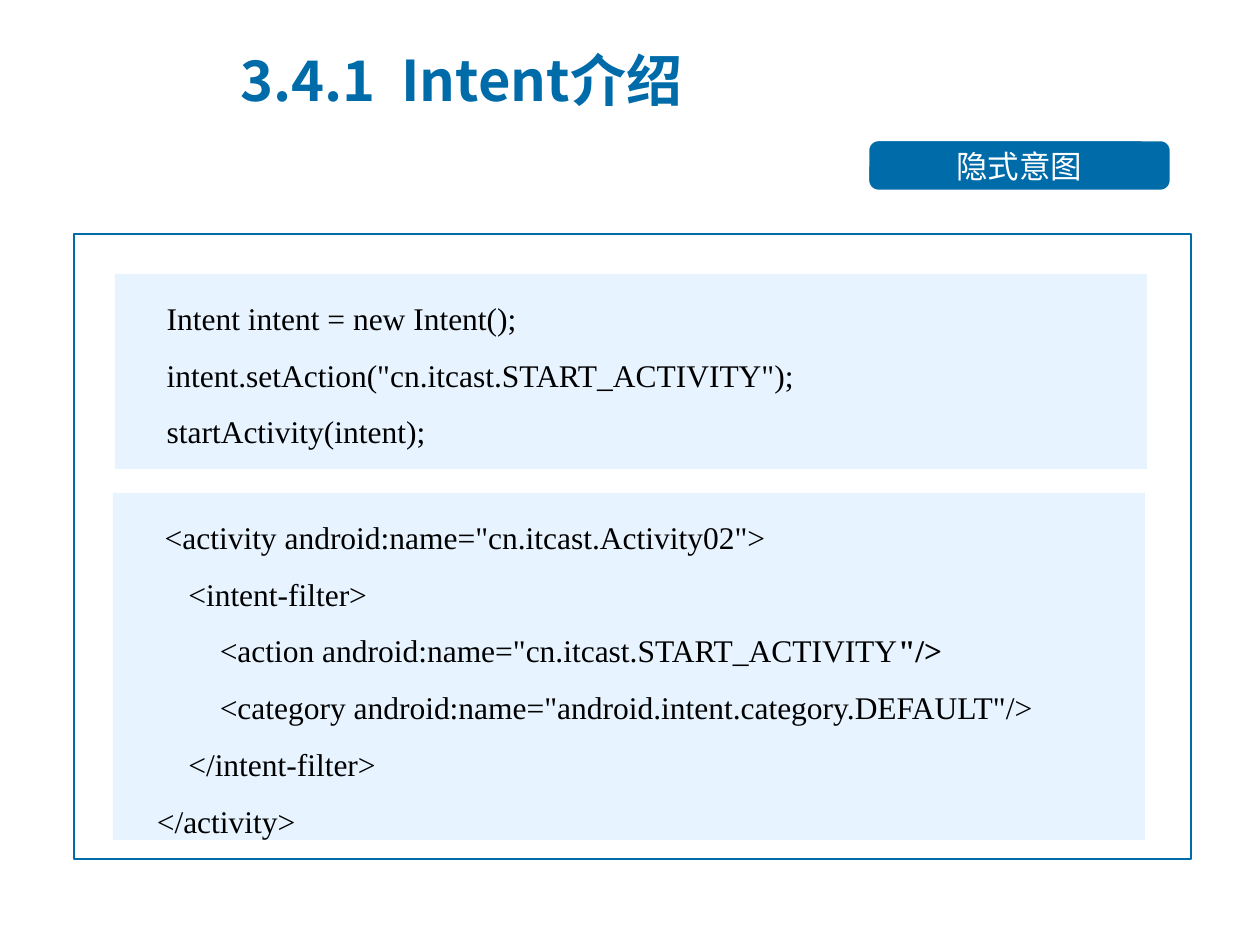
from lxml import etree
from pptx import Presentation
from pptx.dml.color import RGBColor
from pptx.enum.shapes import MSO_SHAPE
from pptx.enum.text import MSO_ANCHOR, PP_ALIGN
from pptx.oxml.ns import qn
from pptx.util import Emu, Pt

RECT, ROUNDED = MSO_SHAPE.RECTANGLE, MSO_SHAPE.ROUNDED_RECTANGLE
TOP, MIDDLE = MSO_ANCHOR.TOP, MSO_ANCHOR.MIDDLE
LEFT, CENTER = PP_ALIGN.LEFT, PP_ALIGN.CENTER

EMU_PER_PX = 914400 / 126
BLUE, PALE, WHITE, BLACK = "006BA9", "E7F4FF", "FFFFFF", "000000"
HEADING_FONT, CODE_FONT = "Noto Sans CJK SC", "Times New Roman"

TITLE = "3.4.1  Intent介绍"
BADGE = "隐式意图"

# Each code line is a list of (text, bold) runs.
MANIFEST_CODE = [
    [('     <activity android:name="cn.itcast.Activity02">', False)],
    [("        <intent-filter>", False)],
    [('            <action android:name="cn.itcast.START_ACTIVITY', False), ('"/>', True)],
    [('            <category android:name="android.intent.category.DEFAULT"/>', False)],
    [("        </intent-filter>", False)],
    [("    </activity>", False)],
]
JAVA_CODE = [
    [("     Intent intent = new Intent();", False)],
    [('     intent.setAction("cn.itcast.START_ACTIVITY");', False)],
    [("     startActivity(intent);", False)],
]
CODE_PANELS = [
    ((113, 493, 1032, 347), MANIFEST_CODE),
    ((115, 274, 1032, 195), JAVA_CODE),
]


def px(length):
    return Emu(round(length * EMU_PER_PX))


def color(value):
    return RGBColor.from_string(value)


def add_box(kind, bounds, fill=None, line=None):
    box = slide.shapes.add_shape(kind, *map(px, bounds))
    box.shadow.inherit = False
    if fill:
        box.fill.solid()
        box.fill.fore_color.rgb = color(fill)
    else:
        box.fill.background()
    if line:
        box.line.color.rgb = color(line)
        box.line.width = Pt(1.5)
    else:
        box.line.fill.background()
    return box


def write(box, lines, font_name, size, text_color, bold=None,
          align=LEFT, anchor=MIDDLE, spacing=None):
    """Fill a box with lines of (text, bold) runs, one paragraph a line."""
    frame = box.text_frame
    frame.word_wrap = True
    frame.vertical_anchor = anchor
    for index, runs in enumerate(lines):
        paragraph = frame.paragraphs[0] if index == 0 else frame.add_paragraph()
        paragraph.alignment = align
        paragraph.line_spacing = spacing
        for text, run_bold in runs:
            run = paragraph.add_run()
            run.text = text
            font = run.font
            font.name, font.size = font_name, Pt(size)
            font.bold = run_bold if bold is None else bold
            font.color.rgb = color(text_color)
            east_asian = etree.Element(qn("a:ea"), typeface=font_name)
            font._element.find(qn("a:latin")).addnext(east_asian)


prs = Presentation()
prs.slide_width, prs.slide_height = px(1260), px(945)
slide = prs.slides.add_slide(prs.slide_layouts[6])

add_box(RECT, (74, 234, 1117, 625), line=BLUE)
for bounds, code in CODE_PANELS:
    panel = add_box(RECT, bounds, fill=PALE)
    write(panel, code, CODE_FONT, 18, BLACK, anchor=TOP, spacing=1.5)

badge = add_box(ROUNDED, (868, 140, 303, 51), fill=BLUE, line=WHITE)
badge.adjustments[0] = 0.2
write(badge, [[(BADGE, False)]], HEADING_FONT, 18, WHITE, align=CENTER)

title = slide.shapes.add_textbox(*map(px, (228, 26, 709, 106)))
write(title, [[(TITLE, True)]], HEADING_FONT, 32, BLUE)

prs.save("out.pptx")
